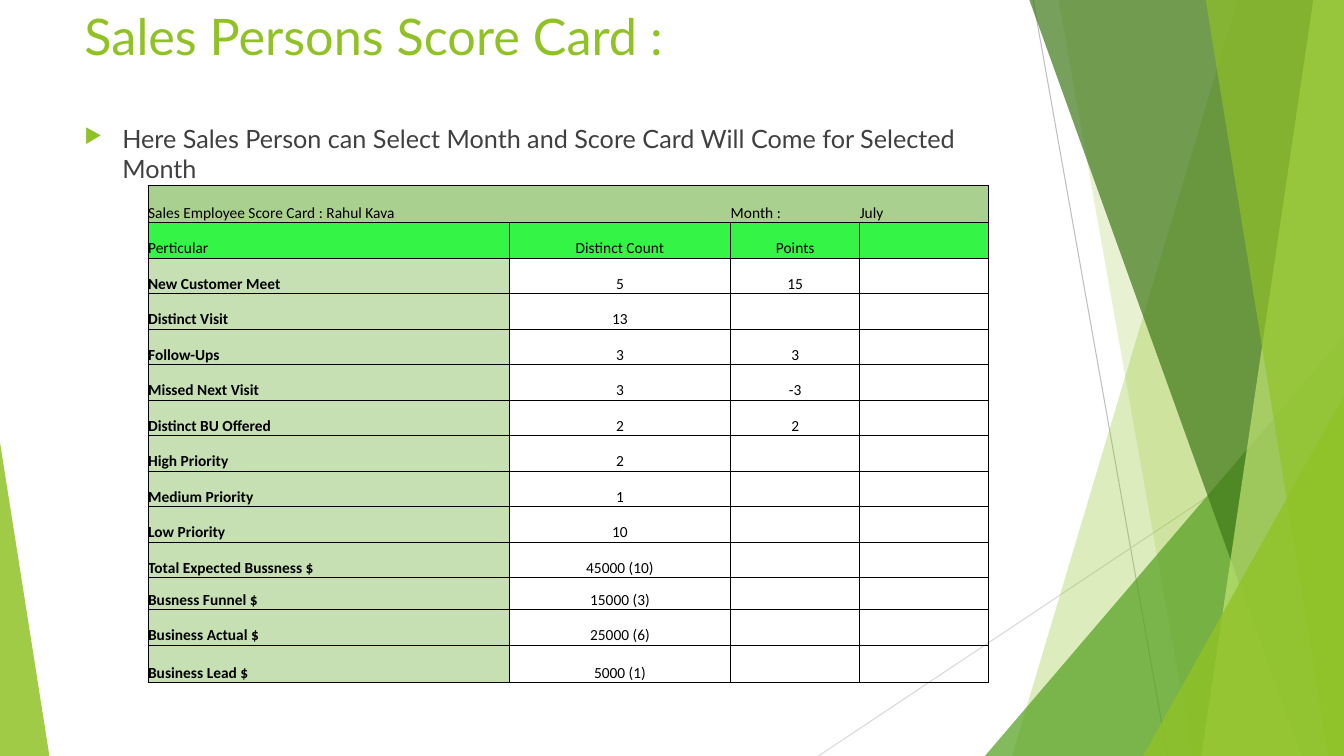
from dataclasses import dataclass

from lxml import etree
from pptx import Presentation
from pptx import util as u
from pptx.dml.color import RGBColor
from pptx.enum import shapes, text
from pptx.oxml.ns import qn


@dataclass(frozen=True)
class Theme:
    lime: str = "90C226"
    green: str = "54A021"
    forest: str = "3F7819"
    pale_lime: str = "C0E474"
    body_text: str = "404040"
    black: str = "000000"
    dark_rule: str = "BFBFBF"
    light_rule: str = "D9D9D9"
    banner_fill: str = "A9D08E"
    heading_fill: str = "34F446"
    label_fill: str = "C6E0B4"
    text_font: str = "Lato"
    table_font: str = "Calibri"
    title_size: float = 36
    body_size: float = 18
    table_size: float = 11
    rule_width: float = 0.75
    outer_border: float = 1
    inner_border: float = 0.5


WIDTH, HEIGHT = 960, 540
TEXT_LEFT, TEXT_WIDTH = 53.3, 676.8

COLUMN_WIDTHS = [258, 158.2, 92.2, 92.2]
ROW_HEIGHTS = [26.6] + [25.36] * 10 + [22.9, 25.36, 26.6]
SCORE_ROWS = [
    ("Sales Employee Score Card : Rahul Kava", "", "Month :", "July"),
    ("Perticular", "Distinct Count", "Points", ""),
    ("New Customer Meet", "5", "15", ""),
    ("Distinct Visit", "13", "", ""),
    ("Follow-Ups", "3", "3", ""),
    ("Missed Next Visit", "3", "-3", ""),
    ("Distinct BU Offered", "2", "2", ""),
    ("High Priority", "2", "", ""),
    ("Medium Priority", "1", "", ""),
    ("Low Priority", "10", "", ""),
    ("Total Expected Bussness $", "45000 (10)", "", ""),
    ("Busness Funnel $", "15000 (3)", "", ""),
    ("Business Actual $", "25000 (6)", "", ""),
    ("Business Lead $", "5000 (1)", "", ""),
]


class SlideBuilder:
    def __init__(self, slide, theme):
        self.slide = slide
        self.theme = theme

    def line(self, start, end, color):
        connector = self.slide.shapes.add_connector(
            shapes.MSO_CONNECTOR.STRAIGHT, *map(u.Pt, start + end))
        connector.line.color.rgb = RGBColor.from_string(color)
        connector.line.width = u.Pt(self.theme.rule_width)
        etree.SubElement(connector._element.spPr, qn("a:effectLst"))

    def paint(self, shape, color, opacity):
        """Give a shape a translucent fill with no outline or shadow."""
        shape.fill.solid()
        shape.fill.fore_color.rgb = RGBColor.from_string(color)
        rgb = next(shape._element.spPr.iter(qn("a:srgbClr")))
        etree.SubElement(rgb, qn("a:alpha"), val=str(opacity * 1000))
        shape.line.fill.background()
        shape.shadow.inherit = False

    def facet(self, top_x, bottom_x, color, opacity):
        """Draw a full-height panel from a slanted left edge to the slide's right edge."""
        top = -0.6
        corners = [(WIDTH, top), (WIDTH, HEIGHT), (bottom_x, HEIGHT)]
        builder = self.slide.shapes.build_freeform(u.Pt(top_x), u.Pt(top))
        builder.add_line_segments([(u.Pt(x), u.Pt(y)) for x, y in corners])
        self.paint(builder.convert_to_shape(), color, opacity)

    def corner_triangle(self, left, top, width, apex, color, opacity):
        """Draw a triangle standing on the slide's bottom edge; apex runs 0 to 1."""
        triangle = self.slide.shapes.add_shape(
            shapes.MSO_SHAPE.ISOSCELES_TRIANGLE,
            u.Pt(left), u.Pt(top), u.Pt(width), u.Pt(HEIGHT - top))
        triangle.adjustments[0] = apex
        self.paint(triangle, color, opacity)

    def style(self, paragraph, font, size, color, bold=False):
        paragraph.font.name = font
        paragraph.font.size = u.Pt(size)
        paragraph.font.bold = bold
        paragraph.font.color.rgb = RGBColor.from_string(color)

    def text_box(self, wording, top, height, size, color, inset_top=3.6, bullet=False):
        box = self.slide.shapes.add_textbox(
            u.Pt(TEXT_LEFT), u.Pt(top), u.Pt(TEXT_WIDTH), u.Pt(height))
        frame = box.text_frame
        frame.word_wrap = True
        frame.margin_top = u.Pt(inset_top)
        paragraph = frame.paragraphs[0]
        paragraph.text = wording
        if bullet:
            self.bullet(paragraph)
        self.style(paragraph, self.theme.text_font, size, color)

    def bullet(self, paragraph):
        properties = paragraph._p.get_or_add_pPr()
        indent = u.Pt(27)
        properties.set("marL", str(indent))
        properties.set("indent", str(-indent))
        color = etree.SubElement(properties, qn("a:buClr"))
        etree.SubElement(color, qn("a:srgbClr"), val=self.theme.lime)
        etree.SubElement(properties, qn("a:buSzPct"), val="80000")
        etree.SubElement(properties, qn("a:buChar"), char="▶")

    def borders(self, cell, widths):
        """Draw the left, right, top and bottom borders; width 0 means none."""
        properties = cell._tc.get_or_add_tcPr()
        for side, width in zip("LRTB", widths):
            border = etree.SubElement(
                properties, qn(f"a:ln{side}"), w=str(u.Pt(width)))
            if width:
                fill = etree.SubElement(border, qn("a:solidFill"))
                etree.SubElement(fill, qn("a:srgbClr"), val=self.theme.black)
            else:
                etree.SubElement(border, qn("a:noFill"))

    def score_cell(self, cell, wording, row, column):
        theme = self.theme
        outer, inner = theme.outer_border, theme.inner_border
        side = inner if row else 0
        self.borders(cell, (
            outer if column == 0 else side,
            outer if column == len(COLUMN_WIDTHS) - 1 else side,
            outer if row < 2 else inner,
            outer if row in (0, len(SCORE_ROWS) - 1) else inner,
        ))
        is_label = row > 1 and column == 0
        fill = {0: theme.banner_fill, 1: theme.heading_fill}.get(
            row, theme.label_fill if is_label else None)
        if fill:
            cell.fill.solid()
            cell.fill.fore_color.rgb = RGBColor.from_string(fill)
        else:
            cell.fill.background()
        cell.margin_left = cell.margin_right = cell.margin_top = cell.margin_bottom = 0
        cell.vertical_anchor = text.MSO_ANCHOR.BOTTOM
        paragraph = cell.text_frame.paragraphs[0]
        paragraph.text = wording
        if row and column:
            paragraph.alignment = text.PP_ALIGN.CENTER
        self.style(paragraph, theme.table_font, theme.table_size, theme.black, is_label)

    def score_table(self, left, top):
        table = self.slide.shapes.add_table(
            len(SCORE_ROWS), len(COLUMN_WIDTHS), u.Pt(left), u.Pt(top),
            u.Pt(sum(COLUMN_WIDTHS)), u.Pt(sum(ROW_HEIGHTS))).table
        table.first_row = table.horz_banding = False
        for column, width in zip(table.columns, COLUMN_WIDTHS):
            column.width = u.Pt(width)
        for row, height in zip(table.rows, ROW_HEIGHTS):
            row.height = u.Pt(height)
        for row, values in enumerate(SCORE_ROWS):
            for column, wording in enumerate(values):
                self.score_cell(table.cell(row, column), wording, row, column)
        table.cell(0, 0).merge(table.cell(0, 1))


def main():
    presentation = Presentation()
    presentation.slide_width, presentation.slide_height = u.Pt(WIDTH), u.Pt(HEIGHT)
    theme = Theme()
    builder = SlideBuilder(
        presentation.slides.add_slide(presentation.slide_layouts[6]), theme)

    builder.line((738, 0), (834, HEIGHT), theme.dark_rule)
    builder.line((WIDTH, 290), (584.6, HEIGHT), theme.light_rule)
    builder.facet(884.2, 722.9, theme.lime, 30)
    builder.facet(756, 851.8, theme.lime, 20)
    builder.corner_triangle(703.5, 240, 256.5, 1, theme.green, 72)
    builder.facet(735.1, 929.5, theme.forest, 70)
    builder.facet(938.2, 858.2, theme.pale_lime, 70)
    builder.facet(861.1, 949, theme.lime, 65)
    builder.corner_triangle(816.5, 283, 143.5, 1, theme.lime, 80)
    builder.corner_triangle(0, 316, 35.3, 0, theme.lime, 85)

    builder.text_box("Sales Persons Score Card :", 0, 52.6, theme.title_size, theme.lime)
    builder.text_box(
        "Here Sales Person can Select Month and Score Card Will Come for Selected Month",
        52.6, 453.6, theme.body_size, theme.body_text, inset_top=35.6, bullet=True)
    builder.score_table(105.8, 132.5)
    presentation.save("out.pptx")


if __name__ == "__main__":
    main()
